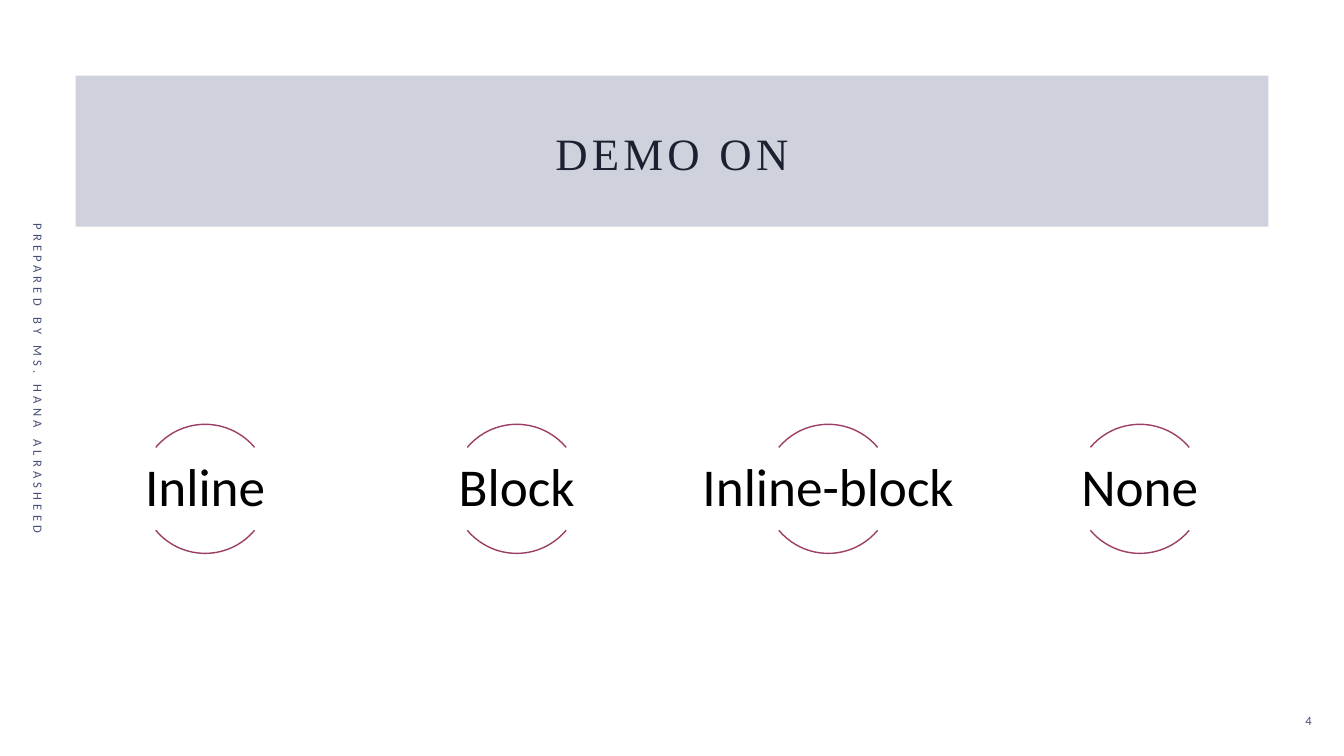
from dataclasses import dataclass

import pptx
import pptx.dml.color
import pptx.enum.shapes
import pptx.enum.text
import pptx.oxml.ns
import pptx.util
from lxml import etree
from pptx.util import Inches, Pt

ALIGN = pptx.enum.text.PP_ALIGN
SHAPES = pptx.enum.shapes.MSO_SHAPE
qn = pptx.oxml.ns.qn


@dataclass(frozen=True)
class TextStyle:
    font: str
    size: float
    color: str
    tracking: float = 0
    line_spacing: float = 1.0
    align: ALIGN = ALIGN.CENTER


@dataclass(frozen=True)
class Theme:
    band: str = "434D76"
    band_opacity: int = 25
    arc: str = "9C3E65"
    arc_width: float = 1
    title: TextStyle = TextStyle("Times New Roman", 32, "1C2031", 3, 0.9)
    label: TextStyle = TextStyle("Calibri", 38, "000000", line_spacing=0.9)
    footer: TextStyle = TextStyle("Calibri", 9, "434D76", 3)
    number: TextStyle = TextStyle("Calibri", 9, "434D76", 3, align=ALIGN.RIGHT)


@dataclass(frozen=True)
class Area:
    left: float
    top: float
    width: float
    height: float

    def lengths(self) -> tuple:
        return tuple(map(Inches, (self.left, self.top, self.width, self.height)))


THEME = Theme()
DISPLAY_VALUES = ("Inline", "Block", "Inline-block", "None")
LABEL_LEFT, LABEL_WIDTH, LABEL_PITCH = 0.76, 2.55, 3.09
ARC_SIZE = 1.28
ARC_ANGLES = ((132, 192), (24, 84))  # upper and lower arc, start and end


def rgb(color: str) -> pptx.dml.color.RGBColor:
    return pptx.dml.color.RGBColor.from_string(color)


def write(box, text: str, style: TextStyle) -> None:
    frame = box.text_frame
    frame.word_wrap = True
    frame.auto_size = pptx.enum.text.MSO_AUTO_SIZE.NONE
    frame.vertical_anchor = pptx.enum.text.MSO_ANCHOR.MIDDLE
    para = frame.paragraphs[0]
    para.text = text
    para.alignment = style.align
    para.line_spacing = style.line_spacing
    para.font.name = style.font
    para.font.size = Pt(style.size)
    para.font.color.rgb = rgb(style.color)
    if style.tracking:
        properties = para._p.pPr.find(qn("a:defRPr"))
        properties.set("spc", str(round(style.tracking * 100)))


def add_text(page, area: Area, text: str, style: TextStyle):
    box = page.shapes.add_textbox(*area.lengths())
    write(box, text, style)
    return box


def add_band(page, area: Area) -> None:
    band = page.shapes.add_shape(SHAPES.RECTANGLE, *area.lengths())
    band.shadow.inherit = False
    band.fill.solid()
    band.fill.fore_color.rgb = rgb(THEME.band)
    band.line.fill.background()
    color = band._element.spPr.find(qn("a:solidFill"))[0]
    etree.SubElement(color, qn("a:alpha"), val=str(THEME.band_opacity * 1000))
    page.shapes._spTree.insert(2, band._element)  # behind the title


def add_arc(page, area: Area, angles: tuple[float, float]) -> None:
    arc = page.shapes.add_shape(SHAPES.ARC, *area.lengths())
    arc.shadow.inherit = False
    arc.adjustments[0], arc.adjustments[1] = angles
    arc.fill.background()
    arc.line.color.rgb = rgb(THEME.arc)
    arc.line.width = Pt(THEME.arc_width)


def add_display_value(page, index: int, text: str) -> None:
    left = LABEL_LEFT + index * LABEL_PITCH
    arc_left = left + (LABEL_WIDTH - ARC_SIZE) / 2
    for angles in ARC_ANGLES:
        add_arc(page, Area(arc_left, 4.21, ARC_SIZE, ARC_SIZE), angles)
    label = add_text(page, Area(left, 4.44, LABEL_WIDTH, 0.82), text, THEME.label)
    frame = label.text_frame
    # No side margins, so the longest label stays on one line
    frame.margin_left = frame.margin_right = Inches(0)
    frame.margin_top = frame.margin_bottom = Inches(0.03)


def main() -> None:
    deck = pptx.Presentation()
    deck.slide_width, deck.slide_height = Inches(13.33), Inches(7.5)
    page = deck.slides.add_slide(deck.slide_layouts.get_by_name("Title Only"))

    # Title on its band
    add_band(page, Area(0.75, 0.75, 11.83, 1.5))
    title = page.shapes.title
    title.left, title.top, title.width, title.height = Area(
        1.53, 1.04, 10.27, 1.02).lengths()
    write(title, "DEMO ON", THEME.title)

    # Row of display values
    for index, text in enumerate(DISPLAY_VALUES):
        add_display_value(page, index, text)

    # Sideways footer and slide number
    footer = add_text(page, Area(-1.87, 3.53, 4.5, 0.45),
                      "PREPARED BY MS. HANA ALRASHEED", THEME.footer)
    footer.rotation = 90
    add_text(page, Area(12.16, 6.95, 0.95, 0.4), "4", THEME.number)

    deck.save("out.pptx")


main()
